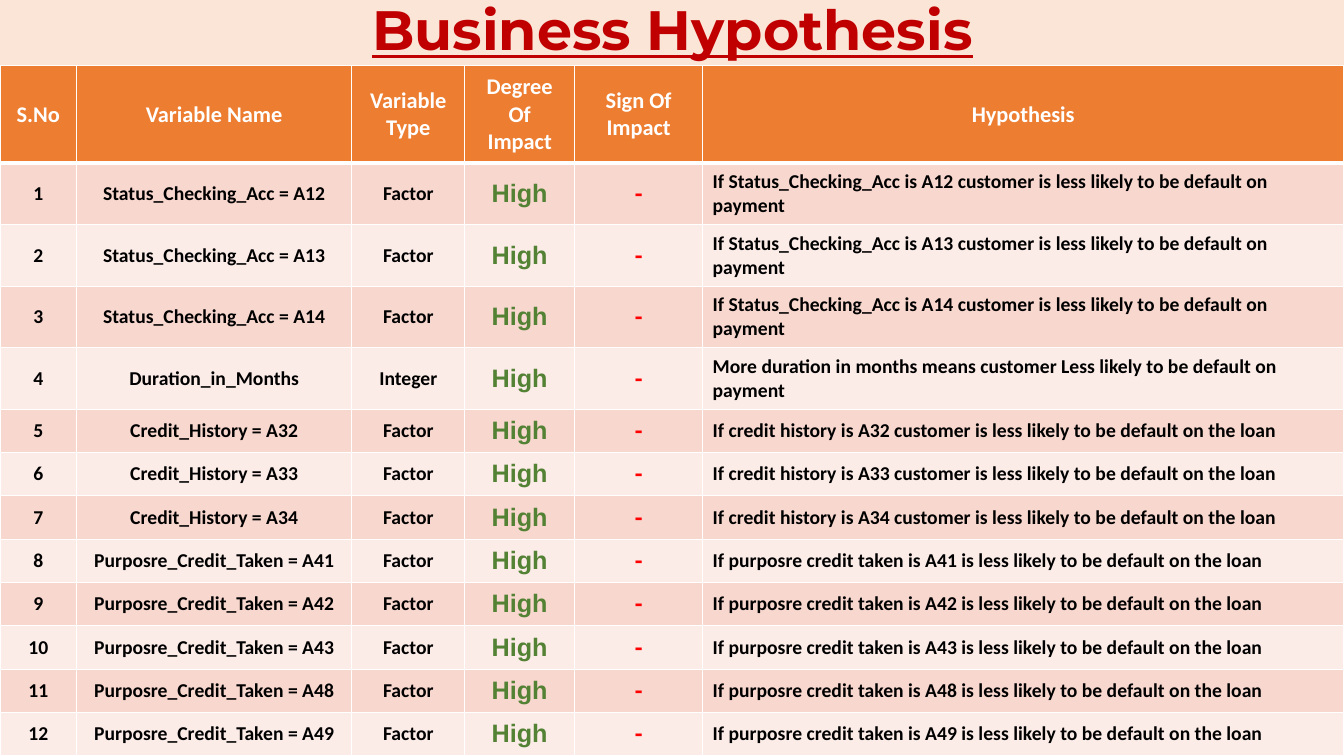
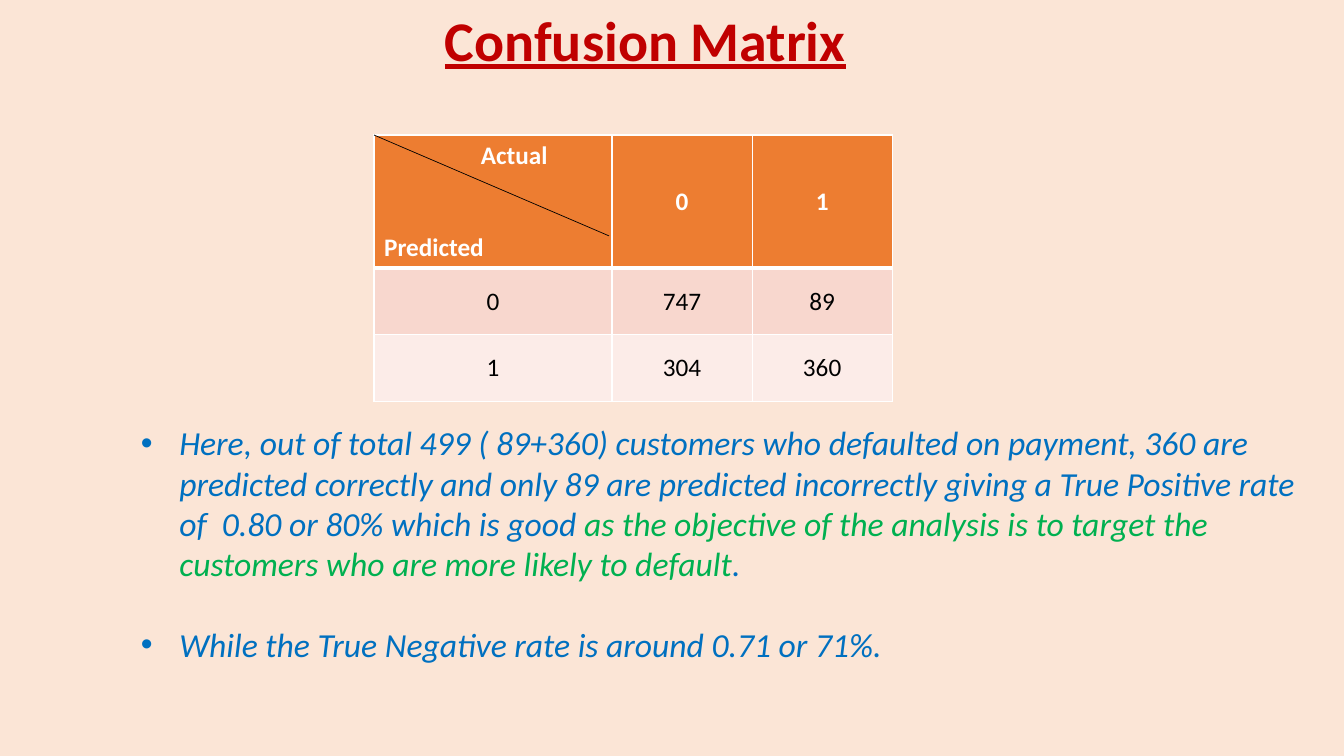
"""Build two slides: a business hypothesis table and a confusion matrix."""
from lxml import etree
from pptx import Presentation
from pptx import util as u
from pptx.dml.color import RGBColor
from pptx.enum import shapes, text
from pptx.oxml import ns

WHITE = RGBColor(0xFF, 0xFF, 0xFF)
BLACK = RGBColor(0, 0, 0)
CREAM = RGBColor(0xFB, 0xE5, 0xD6)
ORANGE = RGBColor(0xED, 0x7D, 0x31)
BANDS = RGBColor(0xF8, 0xD7, 0xCE), RGBColor(0xFC, 0xEC, 0xE8)
WINE = RGBColor(0xC0, 0, 0)
RED = RGBColor(0xFF, 0, 0)
OLIVE = RGBColor(0x54, 0x82, 0x35)
BLUE = RGBColor(0, 0x70, 0xC0)
GREEN = RGBColor(0, 0xB0, 0x50)
LEFT, MID = text.PP_ALIGN.LEFT, text.PP_ALIGN.CENTER
TOP, CORE = text.MSO_ANCHOR.TOP, text.MSO_ANCHOR.MIDDLE

WIDE, HIGH = 13.33, 7.5
HEADS = ["S.No", "Variable Name", "Variable\nType", "Degree Of\nImpact",
         "Sign Of\nImpact", "Hypothesis"]
STATUS = "If Status_Checking_Acc is {} customer is less likely to be default on payment"
CREDIT = "If credit history is {} customer is less likely to be default on the loan"
TAKEN = "If purposre credit taken is {} is less likely to be default on the loan"
GROUPS = [
    ("Status_Checking_Acc = {}", "Factor", STATUS, ["A12", "A13", "A14"]),
    ("Duration_in_Months", "Integer",
     "More duration in months means customer Less likely to be default on payment", [""]),
    ("Credit_History = {}", "Factor", CREDIT, ["A32", "A33", "A34"]),
    ("Purposre_Credit_Taken = {}", "Factor", TAKEN, ["A41", "A42", "A43", "A48", "A49"]),
]
COLS = [0.76, 2.73, 1.12, 1.09, 1.27, 6.36]
ROWS = [0.97] + [0.61] * 4 + [0.43] * 8
LOOKS = [(14, BLACK, "Calibri", MID)] * 3 + [
    (18, OLIVE, "Arial", MID), (18, RED, "Calibri", MID), (14, BLACK, "Calibri", LEFT)]

MATRIX = [["Actual\nPredicted", "0", "1"], ["0", "747", "89"], ["1", "304", "360"]]
SIDES = [2.36, 1.39, 1.39]
TIERS = [1.32, 0.66, 0.66]
GRID = 3.71, 1.34
POINTS = [
    [("Here, out of total 499 ( 89+360) customers who defaulted on payment, 360 are "
      "predicted correctly and only 89 are predicted incorrectly giving a True Positive "
      "rate of  0.80 or 80% which is good ", BLUE),
     ("as the objective of the analysis is to target the customers who are more likely "
      "to default", GREEN), (".", BLUE)],
    [("While the True Negative rate is around 0.71 or 71%.", BLUE)],
]


def style(para, size, color, face="Calibri", align=LEFT, bold=False):
    """Format one paragraph."""
    font = para.font
    font.size, font.name, font.bold = u.Pt(size), face, bold
    font.color.rgb = color
    para.alignment = align


def indent(para, left, first=0):
    """Set the left margin and first-line indent of a paragraph in inches."""
    props = para._p.get_or_add_pPr()
    props.set("marL", str(u.Inches(left)))
    props.set("indent", str(u.Inches(first)))
    return props


def place(shape, *box):
    """Move a shape to a box in inches."""
    shape.left, shape.top, shape.width, shape.height = map(u.Inches, box)


def start(deck, title, box, size, face, anchor, pitch):
    """Add a slide with its styled title."""
    slide = deck.slides.add_slide(deck.slide_layouts[5])
    head = slide.shapes.title
    place(head, *box)
    frame = head.text_frame
    frame.text = title
    frame.word_wrap, frame.auto_size = True, text.MSO_AUTO_SIZE.NONE
    frame.vertical_anchor = anchor
    para = frame.paragraphs[0]
    style(para, size, WINE, face, MID, True)
    para.font.underline = True
    para.line_spacing = pitch
    return slide


def border(cell, row):
    """Draw white borders, thick below the header row."""
    props = cell._tc.get_or_add_tcPr()
    for side in "LRTB":
        thick = (side, row) in (("B", 0), ("T", 1))
        line = etree.SubElement(props, ns.qn("a:ln" + side), w=str(u.Pt(3 if thick else 1)))
        fill = etree.SubElement(line, ns.qn("a:solidFill"))
        etree.SubElement(fill, ns.qn("a:srgbClr"), val=str(WHITE))


def table(slide, data, spot, cols, rows, top, looks, bold):
    """Add a banded table with an orange header row."""
    box = [u.Inches(n) for n in (*spot, sum(cols), sum(rows))]
    grid = slide.shapes.add_table(len(rows), len(cols), *box).table
    for col, width in zip(grid.columns, cols):
        col.width = u.Inches(width)
    for r, (line, height) in enumerate(zip(data, rows)):
        grid.rows[r].height = u.Inches(height)
        for c, words in enumerate(line):
            cell = grid.cell(r, c)
            cell.text = words
            cell.vertical_anchor = CORE
            border(cell, r)
            cell.fill.solid()
            cell.fill.fore_color.rgb = BANDS[(r - 1) % 2] if r else ORANGE
            for para in cell.text_frame.paragraphs:
                if r:
                    style(para, *looks[c], bold)
                else:
                    style(para, top, WHITE, "Calibri", MID, True)
    return grid


def theory(deck):
    """Build the hypothesis slide."""
    slide = start(deck, "Business Hypothesis", (0.92, 0, 11.5, 0.65), 39.6,
                  "Montserrat", CORE, 0.9)
    pairs = [(name.format(code), kind, "High", "-", claim.format(code))
             for name, kind, claim, codes in GROUPS for code in codes]
    data = [HEADS] + [[str(n), *pair] for n, pair in enumerate(pairs, 1)]
    table(slide, data, (0, HIGH - sum(ROWS)), COLS, ROWS, 16, LOOKS, True)


def matrix(deck):
    """Build the confusion matrix slide."""
    slide = start(deck, "Confusion Matrix", (2.4, 0, 8, 0.77), 40, "Calibri", TOP, 1.0)
    looks = [(18, BLACK, "Calibri", MID)] * len(SIDES)
    grid = table(slide, MATRIX, GRID, SIDES, TIERS, 18, looks, False)
    corner = grid.cell(0, 0)
    corner.vertical_anchor = TOP
    above, below = corner.text_frame.paragraphs
    above.alignment = below.alignment = LEFT
    indent(above, 0.96)
    below.space_before = u.Pt(44)

    left, top = GRID
    ends = [u.Inches(n) for n in (left, top, left + 2.33, top + 1)]
    slash = slide.shapes.add_connector(shapes.MSO_CONNECTOR.STRAIGHT, *ends)
    slash.line.color.rgb, slash.line.width = BLACK, u.Pt(0.5)
    etree.SubElement(slash._element.spPr, ns.qn("a:effectLst"))

    notes = slide.shapes.add_textbox(*map(u.Inches, (1.3, 4.14, 11.77, 2.52)))
    frame = notes.text_frame
    frame.word_wrap = True
    for n, parts in enumerate(POINTS):
        para = frame.add_paragraph() if n else frame.paragraphs[0]
        style(para, 24, BLUE)
        para.font.italic = True
        para.space_before = u.Pt(29 * n)
        props = indent(para, 0.38, -0.38)
        mark = etree.Element(ns.qn("a:buFont"), typeface="Arial")
        dot = etree.Element(ns.qn("a:buChar"), char="•")
        props.find(ns.qn("a:defRPr")).addprevious(mark)
        mark.addnext(dot)
        for words, color in parts:
            run = para.add_run()
            run.text = words
            run.font.color.rgb = color


def main():
    """Build and save the deck."""
    deck = Presentation()
    deck.slide_width, deck.slide_height = u.Inches(WIDE), u.Inches(HIGH)
    back = deck.slide_master.background.fill
    back.solid()
    back.fore_color.rgb = CREAM
    theory(deck)
    matrix(deck)
    deck.save("out.pptx")


if __name__ == "__main__":
    main()
